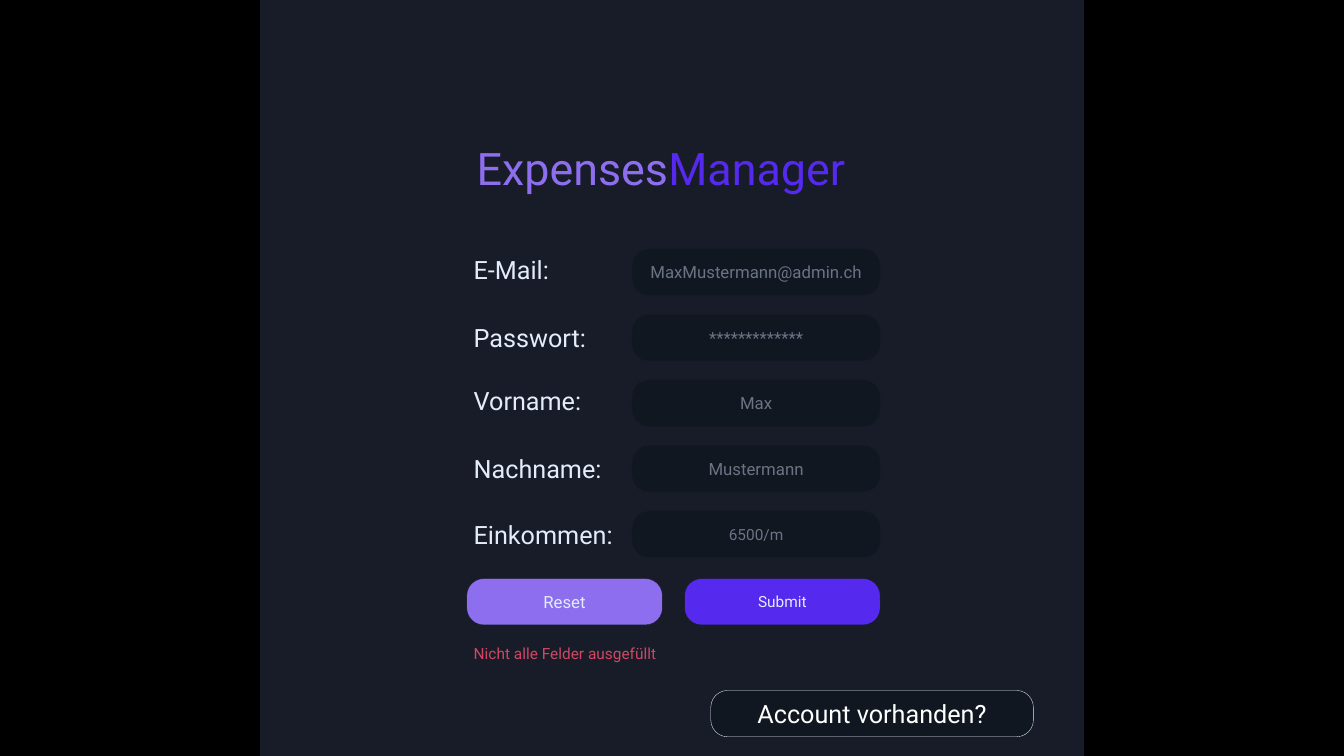
from pptx import Presentation
from pptx import util as u
from pptx.dml.color import RGBColor
from pptx.enum import shapes, text

FONT = "Roboto"
BLACK, PANEL, FIELD, EDGE = "000000", "181C28", "101721", "161A25"
LIGHT, GREY, WHITE, RED = "E4ECF9", "6B7485", "FFFFFF", "D04763"
LILAC, VIOLET = "8D6EEF", "5529EE"

TITLE = [("Expenses", LILAC), ("Manager", VIOLET)]
FIELDS = [
    ("E-Mail:", "MaxMustermann@admin.ch", 12, 0),
    ("Passwort:", "*************", 12, 0.03),
    ("Vorname:", "Max", 12, 0),
    ("Nachname:", "Mustermann", 12, 0.03),
    ("Einkommen:", "6500/m", 11, 0.03),
]
BUTTONS = [("Reset", LILAC, 12), ("Submit", VIOLET, 11)]
WARNING = "Nicht alle Felder ausgefüllt"
ACCOUNT = "Account vorhanden?"

WIDTH, HEIGHT = 13.33, 7.5
PANEL_WIDTH = 8.17
LABEL_LEFT, FORM_LEFT, FORM_RIGHT = 4.6, 4.63, 8.73
FIELD_WIDTH, BUTTON_WIDTH, ROW_HEIGHT = 2.46, 1.94, 0.46
FIRST_ROW, ROW_STEP, BUTTON_TOP = 2.47, 0.65, 5.74

deck = Presentation()
deck.slide_width, deck.slide_height = u.Inches(WIDTH), u.Inches(HEIGHT)
page = deck.slides.add_slide(deck.slide_layouts[6])


def color(value):
    return RGBColor.from_string(value)


def inches(*lengths):
    return [u.Inches(length) for length in lengths]


def write(box, spans, size, align=text.PP_ALIGN.LEFT, anchor=text.MSO_ANCHOR.TOP):
    frame = box.text_frame
    frame.word_wrap = True
    frame.vertical_anchor = anchor
    para = frame.paragraphs[0]
    para.alignment = align
    for words, tint in spans:
        span = para.add_run()
        span.text = words
        span.font.name = FONT
        span.font.size = u.Pt(size)
        span.font.color.rgb = color(tint)


def add_label(spans, left, top, width, height, size):
    box = page.shapes.add_textbox(*inches(left, top, width, height))
    write(box, spans, size)


def add_box(kind, left, top, width, height, fill):
    box = page.shapes.add_shape(kind, *inches(left, top, width, height))
    box.shadow.inherit = False
    box.fill.solid()
    box.fill.fore_color.rgb = color(fill)
    box.line.fill.background()
    return box


def add_pill(words, left, top, width, fill, tint, size, edge=EDGE):
    box = add_box(shapes.MSO_SHAPE.ROUNDED_RECTANGLE, left, top, width, ROW_HEIGHT, fill)
    box.adjustments[0] = 0.364
    box.line.color.rgb = color(edge)
    box.line.width = u.Pt(0.25)
    write(box, [(words, tint)], size, text.PP_ALIGN.CENTER, text.MSO_ANCHOR.MIDDLE)


page.background.fill.solid()
page.background.fill.fore_color.rgb = color(BLACK)
add_box(shapes.MSO_SHAPE.RECTANGLE, (WIDTH - PANEL_WIDTH) / 2, 0, PANEL_WIDTH, HEIGHT, PANEL)
add_label(TITLE, FORM_LEFT, 1.35, 4.07, 0.64, 32)

for row, (label, sample, size, drop) in enumerate(FIELDS):
    top = FIRST_ROW + row * ROW_STEP
    add_pill(sample, FORM_RIGHT - FIELD_WIDTH, top, FIELD_WIDTH, FIELD, GREY, size)
    add_label([(label, LIGHT)], LABEL_LEFT, top + drop, 1.93, 0.4, 18)

button_step = FORM_RIGHT - FORM_LEFT - BUTTON_WIDTH
for column, (caption, fill, size) in enumerate(BUTTONS):
    left = FORM_LEFT + column * button_step
    add_pill(caption, left, BUTTON_TOP, BUTTON_WIDTH, fill, LIGHT, size)

add_label([(WARNING, RED)], LABEL_LEFT, 6.34, 4.45, 0.29, 11)
add_pill(ACCOUNT, 7.05, 6.85, 3.2, FIELD, WHITE, 18, edge=LIGHT)

deck.save("out.pptx")
